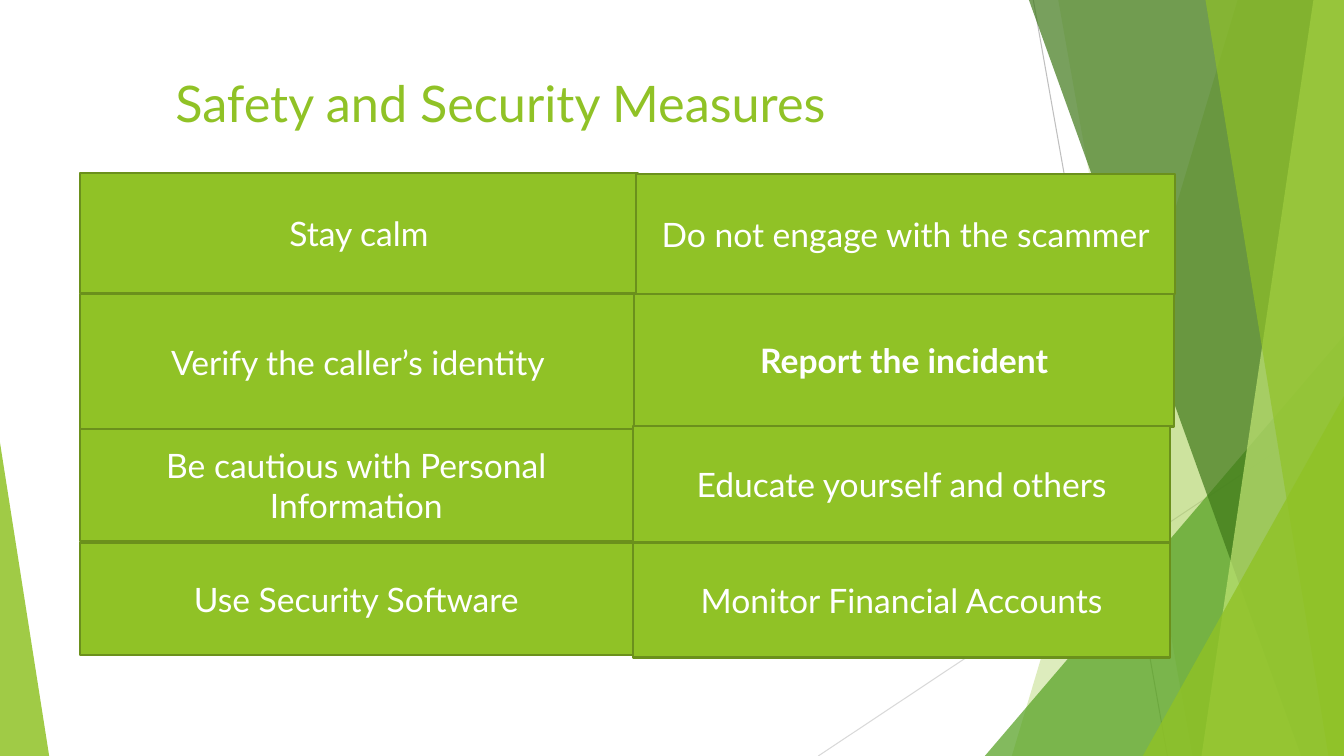
from dataclasses import dataclass

from lxml.etree import SubElement
from pptx import Presentation
from pptx.dml.color import RGBColor
from pptx.enum.shapes import MSO_CONNECTOR, MSO_SHAPE
from pptx.enum.text import MSO_ANCHOR, PP_ALIGN
from pptx.oxml.ns import qn
from pptx.util import Cm, Pt

WIDTH, HEIGHT = 33.87, 19.05


@dataclass(frozen=True)
class Theme:
    green: str = "90C226"
    leaf: str = "54A021"
    forest: str = "3F7819"
    lime: str = "C0E474"
    border: str = "6B901C"
    white: str = "FFFFFF"
    font: str = "Lato"
    title_size: int = 36
    cell_size: int = 24


THEME = Theme()

# start x, start y, end x, end y, colour
RAYS = [
    (26.04, 0, 29.42, HEIGHT, "BFBFBF"),
    (WIDTH, 10.24, 20.62, HEIGHT, "D9D9D9"),
]

# text, left, top, width, height, bold
MEASURES = [
    ("Stay calm", 2.01, 4.37, 14.07, 3.02, False),
    ("Do not engage with the scammer", 16.03, 4.39, 13.59, 3.02, False),
    ("Verify the caller’s identity", 2.01, 7.42, 14.02, 3.4, False),
    ("Report the incident", 15.98, 7.42, 13.61, 3.33, True),
    ("Be cautious with Personal Information", 2.01, 10.8, 13.94, 2.84, False),
    ("Educate yourself and others", 15.95, 10.74, 13.54, 2.92, False),
    ("Use Security Software", 2.01, 13.67, 13.94, 2.84, False),
    ("Monitor Financial Accounts", 15.95, 13.67, 13.54, 2.9, False),
]


def set_fill(sp, color, opacity=100):
    sp.shadow.inherit = False
    sp.fill.solid()
    sp.fill.fore_color.rgb = RGBColor.from_string(color)
    if opacity < 100:
        clr = sp.fill._xPr.find(qn("a:solidFill"))[0]
        SubElement(clr, qn("a:alpha")).set("val", str(opacity * 1000))


def add_ray(s, x1, y1, x2, y2, color):
    ray = s.shapes.add_connector(
        MSO_CONNECTOR.STRAIGHT, Cm(x1), Cm(y1), Cm(x2), Cm(y2))
    ray.line.color.rgb = RGBColor.from_string(color)
    ray.line.width = Pt(0.75)
    SubElement(ray._element.spPr, qn("a:effectLst"))


def add_band(s, top_x, bottom_x, color, opacity):
    """Fill from a slanted left edge to the slide's right edge."""
    builder = s.shapes.build_freeform(Cm(top_x), 0)
    corners = [(WIDTH, 0), (WIDTH, HEIGHT), (bottom_x, HEIGHT)]
    builder.add_line_segments([(Cm(x), Cm(y)) for x, y in corners])
    sp = builder.convert_to_shape()
    set_fill(sp, color, opacity)
    sp.line.fill.background()


def add_wedge(s, left, top, width, apex, color, opacity):
    """Stand a triangle on the slide's bottom edge."""
    sp = s.shapes.add_shape(MSO_SHAPE.ISOSCELES_TRIANGLE, Cm(left), Cm(top),
                            Cm(width), Cm(HEIGHT - top))
    sp.adjustments[0] = apex
    set_fill(sp, color, opacity)
    sp.line.fill.background()


def write_text(sp, text, size, color, align, anchor, bold=False):
    tf = sp.text_frame
    tf.word_wrap = True
    tf.vertical_anchor = anchor
    p = tf.paragraphs[0]
    p.alignment = align
    r = p.add_run()
    r.text = text
    r.font.color.rgb = RGBColor.from_string(color)
    formats = {"name": THEME.font, "size": Pt(size), "bold": bold}
    for name, value in formats.items():
        setattr(r.font, name, value)


def add_title(s, text):
    sp = s.shapes.add_textbox(Cm(4.17), Cm(1.7), Cm(21.59), Cm(2.4))
    write_text(sp, text, THEME.title_size, THEME.green,
               PP_ALIGN.LEFT, MSO_ANCHOR.TOP)


def add_measure(s, text, left, top, width, height, bold):
    sp = s.shapes.add_shape(MSO_SHAPE.RECTANGLE, Cm(left), Cm(top),
                            Cm(width), Cm(height))
    set_fill(sp, THEME.green)
    sp.line.color.rgb = RGBColor.from_string(THEME.border)
    sp.line.width = Pt(1.5)
    write_text(sp, text, THEME.cell_size, THEME.white,
               PP_ALIGN.CENTER, MSO_ANCHOR.MIDDLE, bold)


def add_backdrop(s):
    for ray in RAYS:
        add_ray(s, *ray)
    add_band(s, 31.19, 25.5, THEME.green, 30)
    add_band(s, 26.67, 30.05, THEME.green, 20)
    add_wedge(s, 24.82, 8.46, 9.05, 1, THEME.leaf, 72)
    add_band(s, 25.93, 32.79, THEME.forest, 70)
    add_band(s, 33.1, 30.28, THEME.lime, 70)
    add_band(s, 30.38, 33.48, THEME.green, 65)
    add_wedge(s, 28.8, 9.98, 5.07, 1, THEME.green, 80)
    add_wedge(s, 0, 11.15, 1.24, 0, THEME.green, 85)


def main():
    prs = Presentation()
    prs.slide_width, prs.slide_height = Cm(WIDTH), Cm(HEIGHT)
    s = prs.slides.add_slide(prs.slide_layouts[6])
    add_backdrop(s)
    add_title(s, "Safety and Security Measures")
    for measure in MEASURES:
        add_measure(s, *measure)
    prs.save("out.pptx")


if __name__ == "__main__":
    main()
